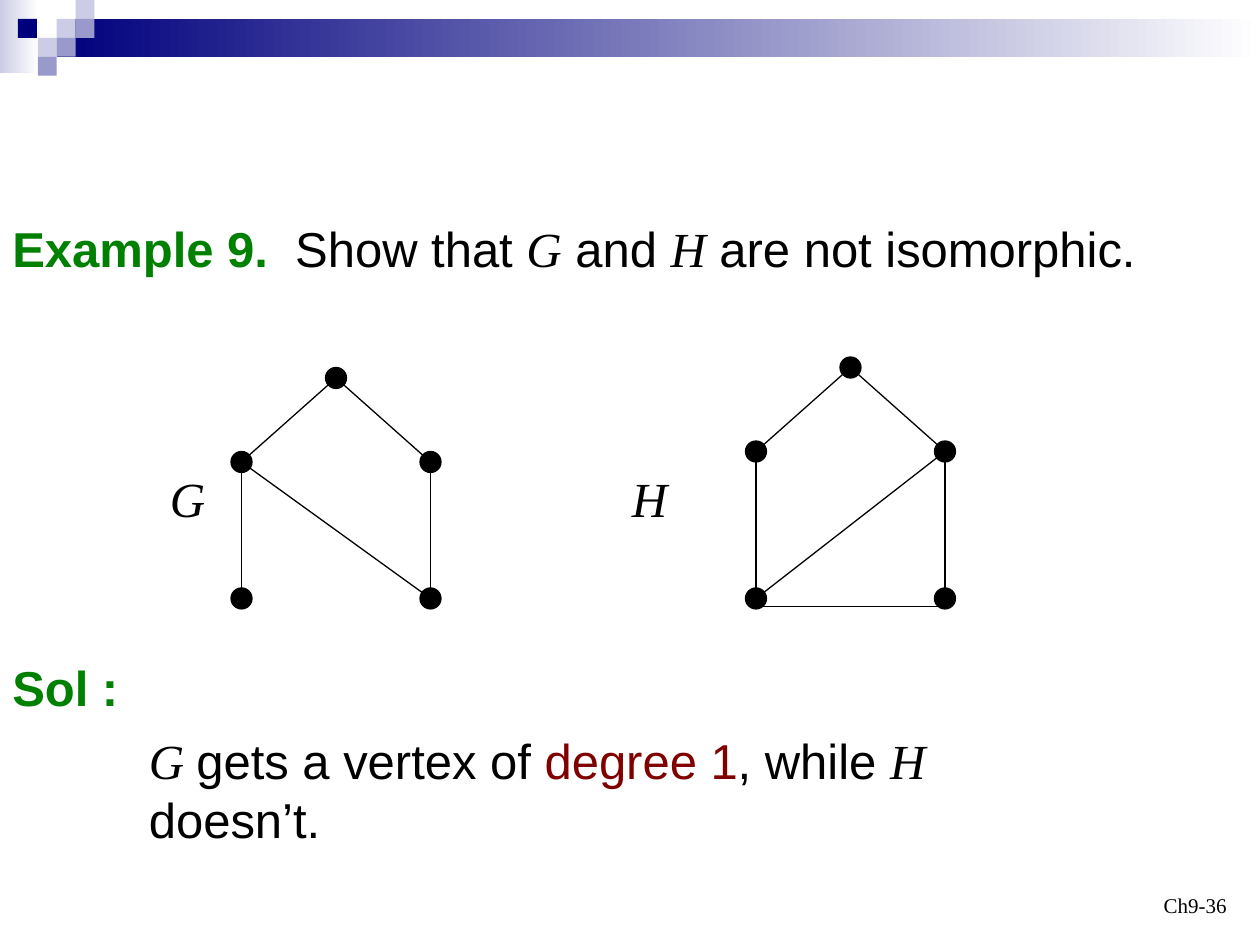
"""Build a slide showing that two graphs are not isomorphic."""
from pptx import Presentation
from pptx.dml.color import RGBColor as RGB
from pptx.enum.shapes import MSO_CONNECTOR as CONN, MSO_SHAPE as SHAPE
from pptx.enum.text import MSO_ANCHOR as ANCHOR, PP_ALIGN as ALIGN
from pptx.oxml.ns import qn
from pptx.util import Inches, Pt
from lxml.etree import SubElement

COLORS = {
    "black": "000000", "white": "FFFFFF", "green": "008000", "maroon": "800000",
    "navy": "00007D", "mid": "9999CC", "pale": "CCCCE6",
}
SANS, SERIF = "Arial", "Times New Roman"
PLAIN = {}
HEAD = {"color": "green", "bold": True}
RED = {"color": "maroon"}
VAR = {"font": SERIF, "italic": True}


class Deck:
    """Slide style and drawing methods on a grid of 120 columns by 90 rows."""

    def __init__(self, width=10, height=7.5, cols=120, rows=90):
        self.prs = Presentation()
        self.prs.slide_width, self.prs.slide_height = Inches(width), Inches(height)
        self.cw, self.rh = width / cols, height / rows
        self.s = self.prs.slides.add_slide(self.prs.slide_layouts[6])

    def grid(self, *lengths):
        return [Inches(n * (self.rh if i % 2 else self.cw)) for i, n in enumerate(lengths)]

    def color(self, name):
        return RGB.from_string(COLORS[name])

    def shape(self, kind, box, color, fade=None):
        sp = self.s.shapes.add_shape(kind, *self.grid(*box))
        sp.shadow.inherit = False
        sp.line.fill.background()
        if fade:
            sp.fill.gradient()
            sp.fill.gradient_angle = 0
            for stop, name in zip(sp.fill.gradient_stops, (color, fade)):
                stop.color.rgb = self.color(name)
        else:
            sp.fill.solid()
            sp.fill.fore_color.rgb = self.color(color)
        return sp

    def dot(self, x, y, size=2):
        sp = self.shape(SHAPE.OVAL, (x - size / 2, y - size / 2, size, size), "black")
        sp.line.color.rgb = self.color("black")
        sp.line.width = Pt(0.75)

    def edge(self, start, end):
        ln = self.s.shapes.add_connector(CONN.STRAIGHT, *self.grid(*start, *end))
        ln.line.color.rgb = self.color("black")
        ln.line.width = Pt(0.75)
        SubElement(ln._element.spPr, qn("a:effectLst"))

    def text(self, box, runs, size=28, wrap=True, top=0.6, align=ALIGN.LEFT, anchor=ANCHOR.TOP):
        tf = self.s.shapes.add_textbox(*self.grid(*box)).text_frame
        tf.word_wrap, tf.vertical_anchor = wrap, anchor
        tf.margin_top = Inches(top * self.rh)
        p = tf.paragraphs[0]
        p.alignment = align
        for words, style in runs:
            r = p.add_run()
            r.text = words
            r.font.size = Pt(size)
            r.font.name = style.get("font", SANS)
            r.font.bold = style.get("bold", False)
            r.font.italic = style.get("italic", False)
            r.font.color.rgb = self.color(style.get("color", "black"))

    def graph(self, name, label_at, dots, edges, drop=0.75):
        for a, b in edges:
            level = drop if {a, b} == {"sw", "se"} else 0
            self.edge(*((dots[k][0], dots[k][1] + level) for k in (a, b)))
        for x, y in dots.values():
            self.dot(x, y)
        self.text((*label_at, 5.8, 6.8), [(name, VAR)], wrap=False)

    def header(self, cell=1.8):
        self.shape(SHAPE.RECTANGLE, (0, 0, 3.7, 7), "pale", "white")
        self.shape(SHAPE.RECTANGLE, (3 * cell, cell, 114.6, 2 * cell), "navy", "white")
        squares = [(3, 1, "pale"), (4, 0, "pale"), (4, 1, "mid"), (2, 2, "pale"),
                   (0.95, 1, "navy"), (3, 2, "mid"), (2, 3, "mid")]
        for col, row, name in squares:
            self.shape(SHAPE.RECTANGLE, (col * cell, row * cell, cell, cell), name)


def house(left, right, peak, eaves, floor=57):
    return {"top": ((left + right) / 2, peak), "nw": (left, eaves), "ne": (right, eaves),
            "sw": (left, floor), "se": (right, floor)}


def main():
    d = Deck()
    d.header()
    d.text((0, 7, 120, 25), [
        ("Example 9.", HEAD), ("  Show that ", PLAIN), ("G", VAR), (" and ", PLAIN),
        ("H", VAR), (" are not isomorphic.", PLAIN)], top=13.8)
    d.text((0, 62, 12.5, 6.8), [("Sol :", HEAD)], wrap=False)
    d.text((13, 69, 83, 12.4), [
        ("G ", VAR), ("gets a vertex of ", PLAIN), ("degree 1", RED), (", while ", PLAIN),
        ("H ", VAR), ("doesn’t.", PLAIN)])
    walls = [("top", "nw"), ("top", "ne"), ("nw", "sw"), ("ne", "se")]
    d.graph("G", (15, 44), house(23, 41, 36, 44), walls + [("nw", "se")])
    d.graph("H", (59, 44), house(72, 90, 35, 43), walls + [("ne", "sw"), ("sw", "se")])
    d.text((90, 82, 28, 6), [("Ch9-36", {"font": SERIF})], size=12,
           align=ALIGN.RIGHT, anchor=ANCHOR.BOTTOM)
    d.prs.save("out.pptx")


if __name__ == "__main__":
    main()
